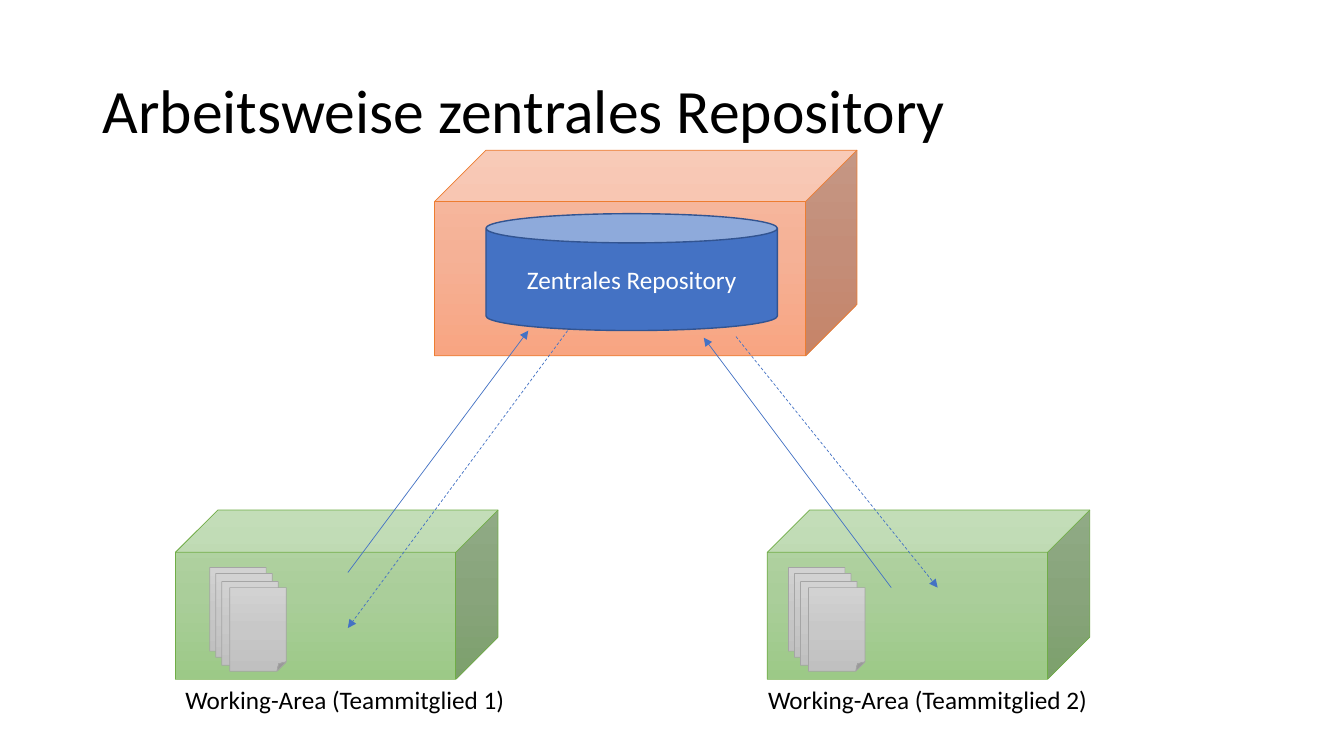
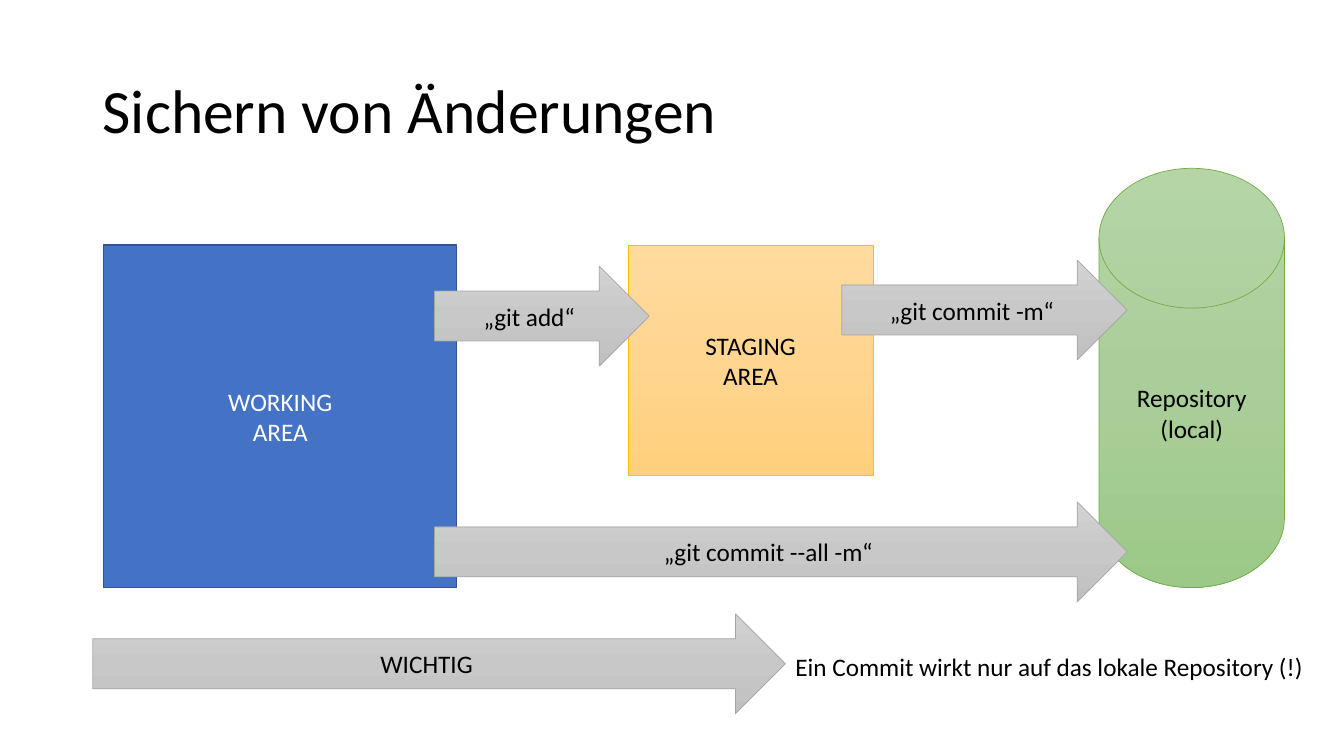
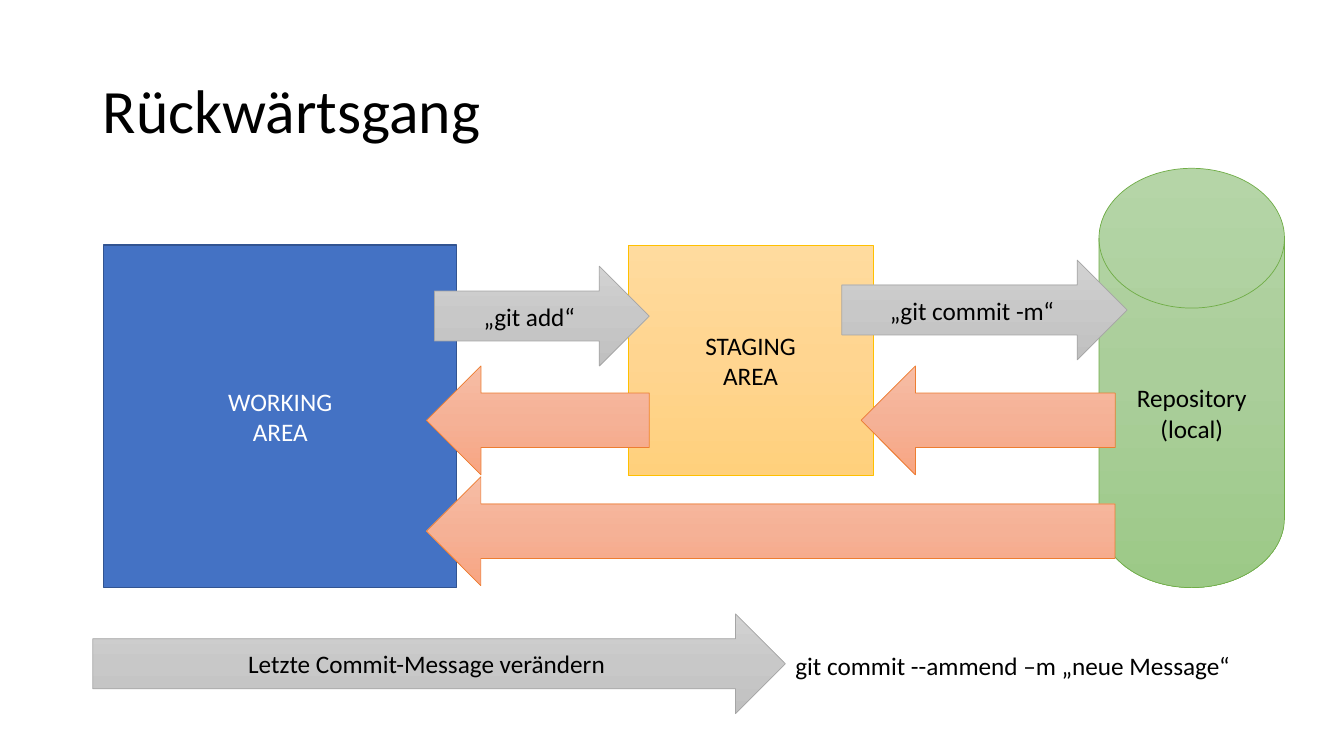
from copy import deepcopy

from lxml import etree
from pptx import Presentation
from pptx.dml.color import RGBColor
from pptx.enum.dml import MSO_LINE
from pptx.enum.shapes import MSO_CONNECTOR, MSO_SHAPE
from pptx.enum.text import MSO_ANCHOR, PP_ALIGN
from pptx.oxml.ns import qn
from pptx.util import Inches, Pt

CUBE, CAN, SHEET = MSO_SHAPE.CUBE, MSO_SHAPE.CAN, MSO_SHAPE.FOLDED_CORNER
RECT, DISK = MSO_SHAPE.RECTANGLE, MSO_SHAPE.FLOWCHART_MAGNETIC_DISK
RIGHT, LEFT = MSO_SHAPE.RIGHT_ARROW, MSO_SHAPE.LEFT_ARROW
STRAIGHT, DASH = MSO_CONNECTOR.STRAIGHT, MSO_LINE.DASH
MIDDLE, CENTER = MSO_ANCHOR.MIDDLE, PP_ALIGN.CENTER

FONT = "Calibri"
BLACK = RGBColor(0x00, 0x00, 0x00)
WHITE = RGBColor(0xFF, 0xFF, 0xFF)
BLUE_FILL = RGBColor(0x44, 0x72, 0xC4)

# Each style: fill colours from top to bottom, line colour, line width, text colour
BLUE = ([BLUE_FILL], RGBColor(0x32, 0x54, 0x91), 1, WHITE)
GREEN = ([RGBColor(0xB5, 0xD5, 0xA7), RGBColor(0xAA, 0xCE, 0x9A), RGBColor(0x9C, 0xC9, 0x87)],
         RGBColor(0x70, 0xAD, 0x47), 0.5, BLACK)
GREY = ([RGBColor(0xD2, 0xD2, 0xD2), RGBColor(0xC8, 0xC8, 0xC8), RGBColor(0xC0, 0xC0, 0xC0)],
        RGBColor(0xA5, 0xA5, 0xA5), 0.5, BLACK)
ORANGE = ([RGBColor(0xF7, 0xBD, 0xA5), RGBColor(0xF5, 0xB1, 0x96), RGBColor(0xF8, 0xA5, 0x82)],
          RGBColor(0xED, 0x7D, 0x31), 0.5, BLACK)
YELLOW = ([RGBColor(0xFF, 0xDB, 0x9E), RGBColor(0xFF, 0xD5, 0x90), RGBColor(0xFF, 0xD0, 0x7C)],
          RGBColor(0xFF, 0xC0, 0x00), 0.5, BLACK)

# Working areas: left of cube, left of label, left of sheets, label
WORKING_AREAS = [
    (1.74, 1.74, 2.08, "Working-Area (Teammitglied 1)"),
    (7.61, 7.52, 7.82, "Working-Area (Teammitglied 2)"),
]
SHEET_OFFSETS = [(0, 0), (0.06, 0.06), (0.12, 0.14), (0.2, 0.2)]
# Transfers: start, end, dashed
TRANSFERS = [
    ((3.45, 5.68), (5.24, 3.28), False),
    ((5.63, 3.28), (3.45, 6.23), True),
    ((8.84, 5.83), (6.98, 3.35), False),
    ((7.3, 3.34), (9.3, 5.83), True),
]

# Shapes: preset, style, (left, top, width, height), text
GIT_AREAS = [
    (RECT, BLUE, (1.03, 2.43, 3.5, 3.4), "WORKING\nAREA"),
    (RECT, YELLOW, (6.23, 2.43, 2.43, 2.29), "STAGING\nAREA"),
    (DISK, GREEN, (10.9, 1.67, 1.84, 4.16), "Repository (local)"),
    (RIGHT, GREY, (4.31, 2.64, 2.13, 0.99), "„git add“"),
    (RIGHT, GREY, (8.35, 2.58, 2.83, 0.99), "„git commit -m“"),
]
COMMIT_ALL = [(RIGHT, GREY, (4.31, 4.98, 6.87, 0.99), "„git commit --all -m“")]
WAYS_BACK = [
    (LEFT, ORANGE, (4.23, 3.63, 2.21, 1.08), ""),
    (LEFT, ORANGE, (8.54, 3.63, 2.52, 1.08), ""),
    (LEFT, ORANGE, (4.23, 4.73, 6.83, 1.08), ""),
]
# Git slides: title, additional arrows, text in the bottom arrow, remark beside it
GIT_SLIDES = [
    ("Sichern von Änderungen", COMMIT_ALL, "WICHTIG",
     (7.79, 6.41, 5.29, 0.4), "Ein Commit wirkt nur auf das lokale Repository (!)"),
    ("Rückwärtsgang", WAYS_BACK, "Letzte Commit-Message verändern",
     (7.79, 6.4, 4.56, 0.4), "git commit --ammend –m „neue Message“"),
]


def inches(values):
    return [Inches(value) for value in values]


def write(frame, text, color, size=18):
    """Fill the first paragraph, with a line break at each newline."""
    paragraph = frame.paragraphs[0]
    for number, line in enumerate(text.split("\n")):
        if number:
            paragraph.add_line_break()
        run = paragraph.add_run()
        run.text = line
        run.font.name, run.font.size = FONT, Pt(size)
        run.font.color.rgb = color
    return paragraph


def paint(fill, colors):
    """Fill with one colour, or with three in a gradient from top to bottom."""
    if len(colors) == 1:
        fill.solid()
        fill.fore_color.rgb = colors[0]
        return
    fill.gradient()
    fill.gradient_angle = 270
    stop_list = fill._xPr.find(qn("a:gradFill")).find(qn("a:gsLst"))
    stop_list.insert(1, deepcopy(stop_list[0]))
    for stop, color, position in zip(fill.gradient_stops, colors, (0, 0.5, 1)):
        stop.color.rgb = color
        stop.position = position


def add_block(slide, preset, style, box, text=""):
    colors, line_color, line_width, text_color = style
    block = slide.shapes.add_shape(preset, *inches(box))
    block.shadow.inherit = False
    paint(block.fill, colors)
    block.line.color.rgb = line_color
    block.line.width = Pt(line_width)
    if text:
        block.text_frame.vertical_anchor = MIDDLE
        write(block.text_frame, text, text_color).alignment = CENTER


def add_label(slide, box, text):
    frame = slide.shapes.add_textbox(*inches(box)).text_frame
    frame.word_wrap = False
    write(frame, text, BLACK)


def add_transfer(slide, start, end, dashed):
    arrow = slide.shapes.add_connector(STRAIGHT, *inches(start + end))
    arrow.line.color.rgb = BLUE_FILL
    arrow.line.width = Pt(0.5)
    if dashed:
        arrow.line.dash_style = DASH
    properties = arrow._element.spPr
    etree.SubElement(properties.find(qn("a:ln")), qn("a:tailEnd"), type="triangle")
    etree.SubElement(properties, qn("a:effectLst"))


def add_titled_slide(prs, title):
    slide = prs.slides.add_slide(prs.slide_layouts[6])
    frame = slide.shapes.add_textbox(*inches((0.92, 0.4, 11.5, 1.45))).text_frame
    frame.word_wrap = True
    frame.vertical_anchor = MIDDLE
    write(frame, title, BLACK, 44).line_spacing = 0.9
    return slide


def add_repository_slide(prs):
    slide = add_titled_slide(prs, "Arbeitsweise zentrales Repository")
    for cube_left, label_left, sheets_left, label in WORKING_AREAS:
        add_block(slide, CUBE, GREEN, (cube_left, 5.06, 3.2, 1.68))
        add_label(slide, (label_left, 6.74, 3.4, 0.4), label)
        for dx, dy in SHEET_OFFSETS:
            add_block(slide, SHEET, GREY, (sheets_left + dx, 5.63 + dy, 0.56, 0.83))
    add_block(slide, CUBE, ORANGE, (4.31, 1.49, 4.19, 2.04))
    add_block(slide, CAN, BLUE, (4.82, 2.12, 2.89, 1.16), "Zentrales Repository")
    for transfer in TRANSFERS:
        add_transfer(slide, *transfer)


def add_git_slide(prs, title, arrows, bottom_text, remark_box, remark):
    slide = add_titled_slide(prs, title)
    bottom_arrow = (RIGHT, GREY, (0.92, 6.09, 6.87, 0.99), bottom_text)
    for block in GIT_AREAS + arrows + [bottom_arrow]:
        add_block(slide, *block)
    add_label(slide, remark_box, remark)


def main():
    prs = Presentation()
    prs.slide_width, prs.slide_height = Inches(13.33), Inches(7.5)
    add_repository_slide(prs)
    for content in GIT_SLIDES:
        add_git_slide(prs, *content)
    prs.save("out.pptx")


if __name__ == "__main__":
    main()
